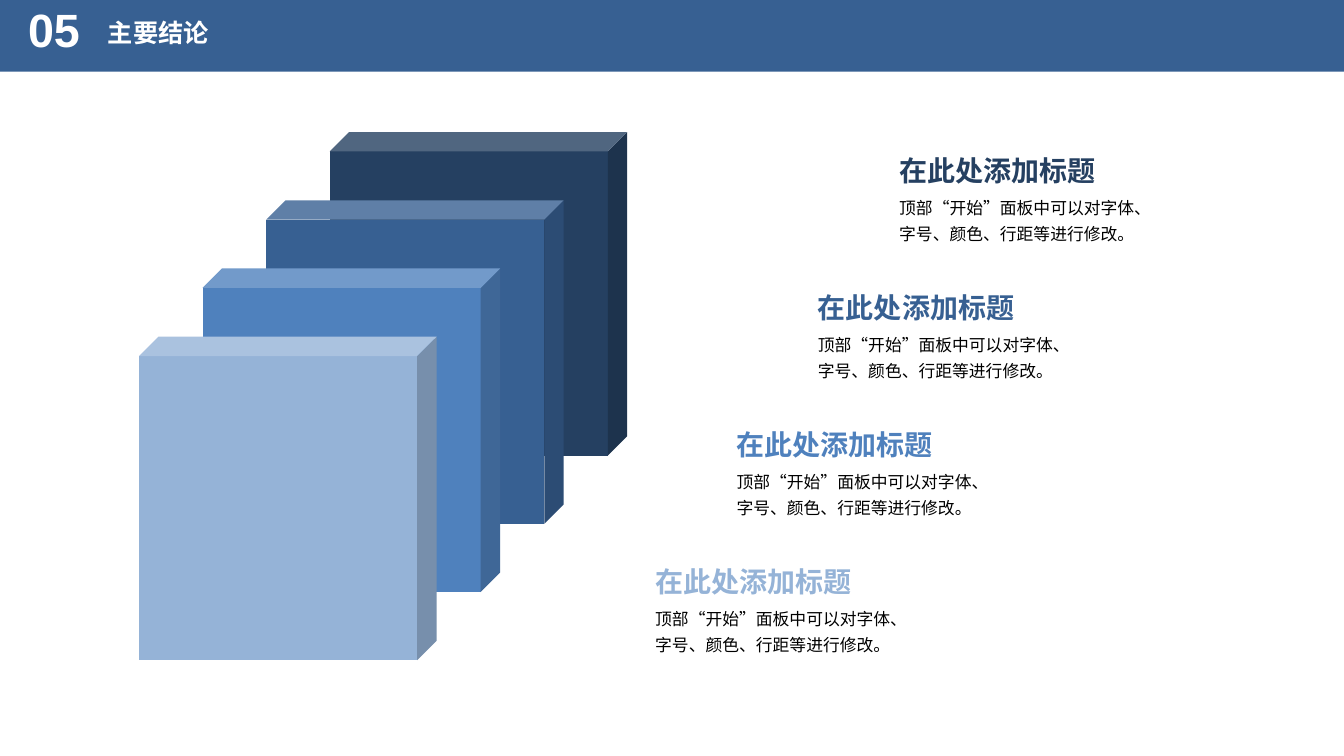
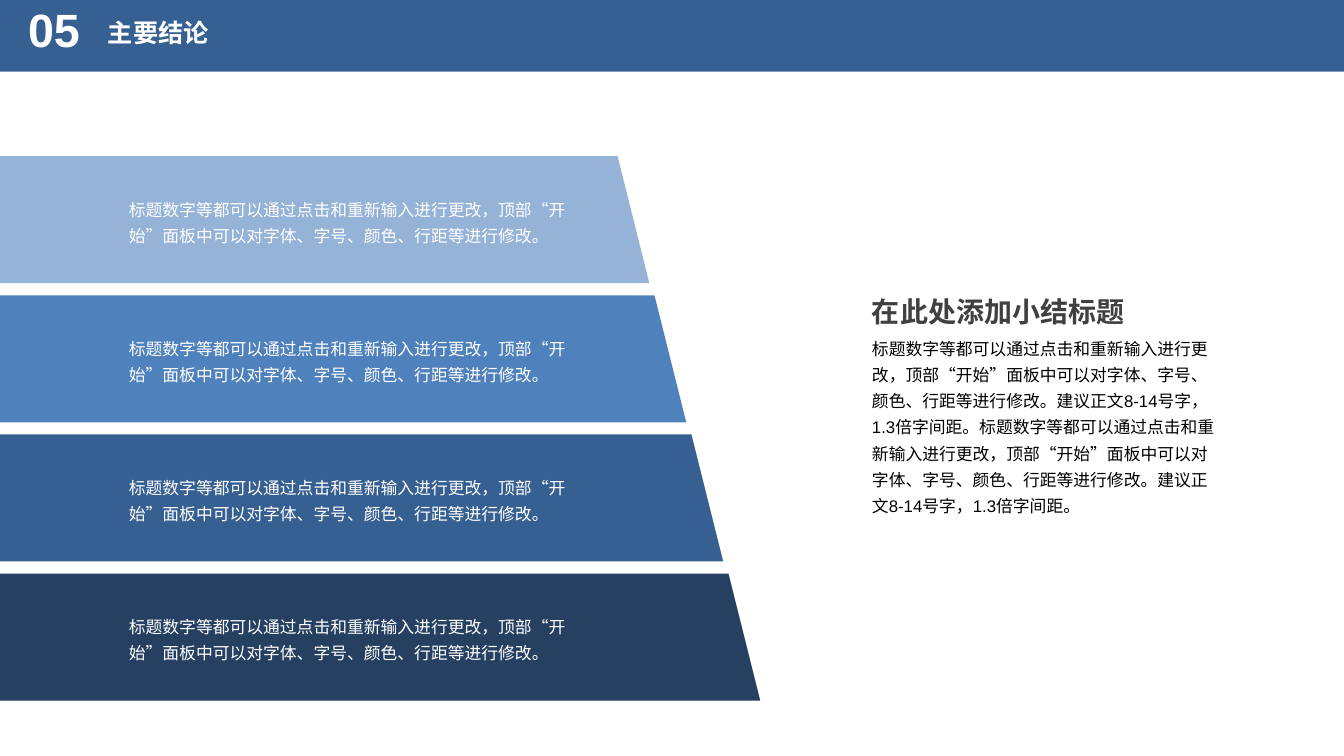
from pptx import Presentation
from pptx.dml.color import RGBColor
from pptx.enum.shapes import MSO_SHAPE as Shape
from pptx.enum.text import MSO_ANCHOR as Anchor, MSO_AUTO_SIZE as AutoSize, PP_ALIGN as Align
from pptx.util import Inches, Pt

FONT = "Arial"
WHITE, BLACK, GRAY = "FFFFFF", "000000", "404040"
BAND = "376092"
DARK_TO_LIGHT = ["254061", BAND, "4F81BD", "95B3D7"]

SECTION_NUMBER = "05"
SECTION_TITLE = "主要结论"

CUBE_TITLE = "在此处添加标题"
CUBE_TEXT = "顶部“开始”面板中可以对字体、字号、颜色、行距等进行修改。"

LAYER_TEXT = "标题数字等都可以通过点击和重新输入进行更改，顶部“开始”面板中可以对字体、字号、颜色、行距等进行修改。"
SUMMARY_TITLE = "在此处添加小结标题"
SUMMARY_TEXT = (LAYER_TEXT + "建议正文8-14号字，1.3倍字间距。") * 2


def color(value):
    return RGBColor.from_string(value)


def place(shape, left, top, width, height):
    shape.left, shape.top = Inches(left), Inches(top)
    shape.width, shape.height = Inches(width), Inches(height)


def write(shape, text, size, text_color, bold=False, spacing=1.3, before=0,
          anchor=Anchor.TOP, auto_size=AutoSize.SHAPE_TO_FIT_TEXT):
    frame = shape.text_frame
    frame.word_wrap = True
    frame.auto_size = auto_size
    frame.vertical_anchor = anchor
    paragraph = frame.paragraphs[0]
    paragraph.text = text
    paragraph.alignment = Align.LEFT
    paragraph.line_spacing = spacing
    paragraph.space_before = Pt(before)
    font = paragraph.font
    font.name, font.size, font.bold = FONT, Pt(size), bold
    font.color.rgb = color(text_color)


def add_text(slide, box, text, size, text_color, **style):
    shape = slide.shapes.add_textbox(*map(Inches, box))
    write(shape, text, size, text_color, **style)


def add_filled(slide, kind, box, fill):
    shape = slide.shapes.add_shape(kind, *map(Inches, box))
    shape.shadow.inherit = False
    shape.fill.solid()
    shape.fill.fore_color.rgb = color(fill)
    shape.line.fill.background()
    return shape


def add_section_slide():
    slide = presentation.slides.add_slide(layout)
    place(slide.shapes.title, 0.97, 0.16, 4.18, 0.4)
    write(slide.shapes.title, SECTION_TITLE, 18, WHITE, bold=True, spacing=0.9,
          before=10, auto_size=AutoSize.NONE)
    add_text(slide, (0.18, 0.09, 0.79, 0.53), SECTION_NUMBER, 33.3, WHITE, bold=True,
             spacing=0.7, before=10, anchor=Anchor.MIDDLE, auto_size=AutoSize.NONE)
    return slide


def add_caption(slide, left, top, title, title_color, text, width, height):
    add_text(slide, (left, top + 0.48, width, height), text, 12, BLACK)
    add_text(slide, (left, top, 3.19, 0.54), title, 20, title_color, bold=True)


def spread(first, last, index):
    return first + (last - first) * index / (len(DARK_TO_LIGHT) - 1)


presentation = Presentation()
presentation.slide_width, presentation.slide_height = Inches(13.33), Inches(7.5)
layout = presentation.slide_layouts.get_by_name("Title Only")

cube_slide = add_section_slide()
band = add_filled(cube_slide, Shape.RECTANGLE, (0, 0, 13.33, 0.71), BAND)
layout.shapes.element.insert(2, band.element)

for index, fill in enumerate(DARK_TO_LIGHT):
    cube_box = (spread(3.27, 1.38, index), spread(1.31, 3.34, index), 2.95, 3.21)
    cube = add_filled(cube_slide, Shape.CUBE, cube_box, fill)
    cube.adjustments[0] = 0.065
for index, fill in enumerate(DARK_TO_LIGHT):
    add_caption(cube_slide, spread(8.82, 6.4, index), spread(1.37, 5.45, index),
                CUBE_TITLE, fill, CUBE_TEXT, 2.58, 0.63)

layer_slide = add_section_slide()
for index, fill in enumerate(reversed(DARK_TO_LIGHT)):
    layer_width = spread(7.12, 9.32, index)
    layer_top = spread(1.55, 5.69, index)
    add_filled(layer_slide, Shape.TRAPEZOID,
               (2.88 - layer_width / 2, layer_top, layer_width, 1.26), fill)
    add_text(layer_slide, (1.18, layer_top + 0.32, 4.61, 0.63), LAYER_TEXT, 12, WHITE)
add_caption(layer_slide, 8.55, 2.77, SUMMARY_TITLE, GRAY, SUMMARY_TEXT, 3.61, 1.94)

presentation.save("out.pptx")
